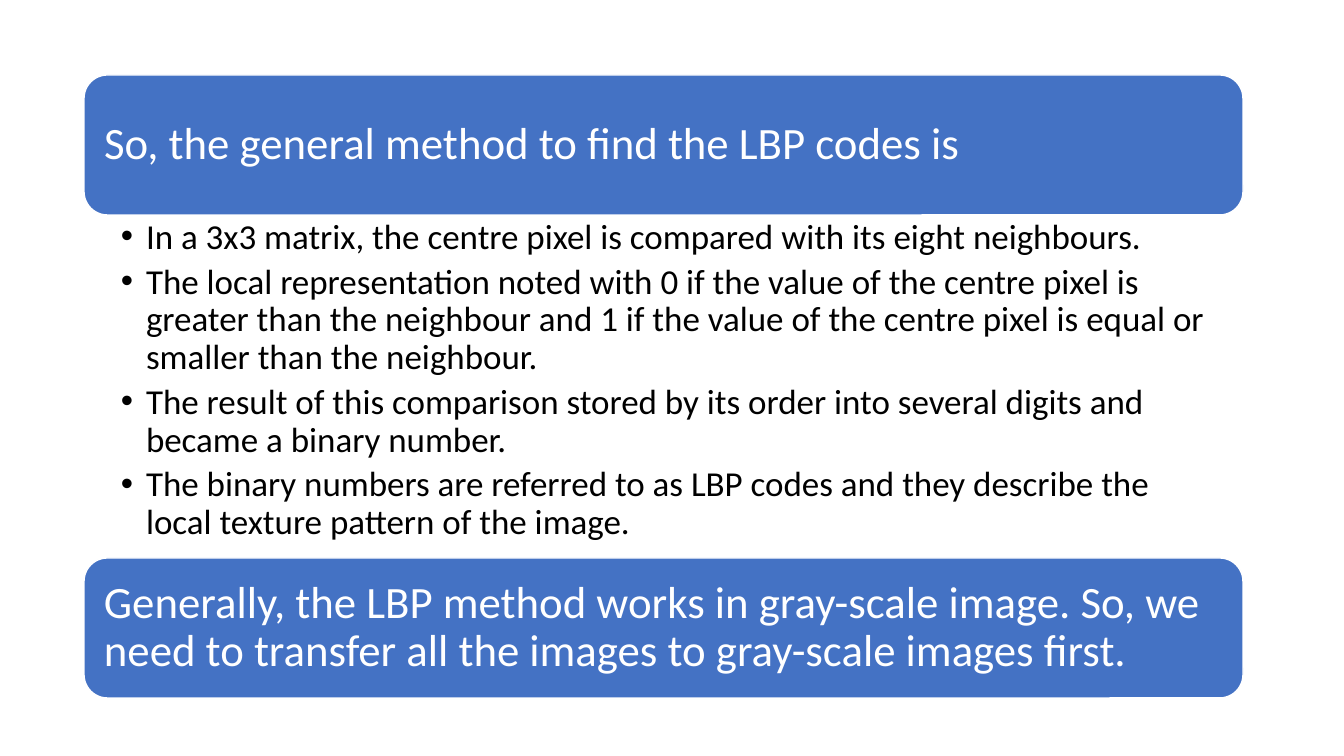
import pptx
import pptx.dml.color
import pptx.enum.shapes
import pptx.enum.text
import pptx.util
from dataclasses import dataclass

HEADING = "So, the general method to find the LBP codes is"
STEPS = [
    "In a 3x3 matrix, the centre pixel is compared with its eight neighbours.",
    "The local representation noted with 0 if the value of the centre pixel is greater than "
    "the neighbour and 1 if the value of the centre pixel is equal or smaller than the neighbour.",
    "The result of this comparison stored by its order into several digits and became a binary number.",
    "The binary numbers are referred to as LBP codes and they describe the local texture pattern of the image.",
]
CLOSING = ("Generally, the LBP method works in gray-scale image. So, we need to transfer "
           "all the images to gray-scale images first.")


@dataclass(frozen=True)
class Theme:
    font: str = "Calibri"
    banner: str = "4472C4"
    light: str = "FFFFFF"
    dark: str = "000000"
    banner_size: int = 32
    step_size: int = 25
    line_spacing: float = 0.9


THEME = Theme()
SLIDE_WIDTH, SLIDE_HEIGHT = 1344, 756
LEFT, TOP, WIDTH = 84, 75, 1159
BANNER_HEIGHT, LIST_HEIGHT = 140, 343
BANNER_PADDING, BANNER_INSET = 7, 13
BULLET_INDENT = 25
LIST_TOP = TOP + BANNER_HEIGHT
CLOSING_TOP = LIST_TOP + LIST_HEIGHT


def px(length):
    return pptx.util.Emu(round(length * 914400 / 100.8))


def color(value):
    return pptx.dml.color.RGBColor.from_string(value)


def place(shape, left, top, width, height):
    shape.left, shape.top = px(left), px(top)
    shape.width, shape.height = px(width), px(height)


def write(shape, texts, *, size, ink, insets, anchor, gap, indent=0):
    """Fill a shape with one paragraph per text; insets are left, top, right, bottom."""
    frame = shape.text_frame
    frame.word_wrap = True
    frame.auto_size = pptx.enum.text.MSO_AUTO_SIZE.NONE
    frame.vertical_anchor = anchor
    frame.margin_left, frame.margin_top, frame.margin_right, frame.margin_bottom = map(px, insets)
    for index, text in enumerate(texts):
        para = frame.add_paragraph() if index else frame.paragraphs[0]
        para.alignment = pptx.enum.text.PP_ALIGN.LEFT
        para.line_spacing = THEME.line_spacing
        para.space_before = pptx.util.Pt(0)
        para.space_after = pptx.util.Pt(round(size * gap))
        properties = para._p.get_or_add_pPr()
        properties.set("marL", str(px(indent)))
        properties.set("indent", str(-px(indent)))
        span = para.add_run()
        span.text = text
        span.font.name = THEME.font
        span.font.size = pptx.util.Pt(size)
        span.font.color.rgb = color(ink)


def add_banner(page, label, text, top):
    """Put a rounded panel directly behind the label and write the text on it."""
    panel = page.shapes.add_shape(pptx.enum.shapes.MSO_SHAPE.ROUNDED_RECTANGLE, 0, 0, 0, 0)
    place(panel, LEFT, top, WIDTH, BANNER_HEIGHT)
    panel.shadow.inherit = False
    panel.fill.solid()
    panel.fill.fore_color.rgb = color(THEME.banner)
    panel.line.color.rgb = color(THEME.light)
    panel.line.width = pptx.util.Pt(1)
    label.element.addprevious(panel.element)
    place(label, LEFT + BANNER_PADDING, top + BANNER_PADDING,
          WIDTH - 2 * BANNER_PADDING, BANNER_HEIGHT - 2 * BANNER_PADDING)
    write(label, [text], size=THEME.banner_size, ink=THEME.light, insets=[BANNER_INSET] * 4,
          anchor=pptx.enum.text.MSO_ANCHOR.MIDDLE, gap=0.35)


def main():
    deck = pptx.Presentation()
    deck.slide_width, deck.slide_height = px(SLIDE_WIDTH), px(SLIDE_HEIGHT)
    page = deck.slides.add_slide(deck.slide_layouts.get_by_name("Title and Content"))

    add_banner(page, page.shapes.title, HEADING, TOP)
    steps = page.placeholders[1]
    place(steps, LEFT, LIST_TOP, WIDTH, LIST_HEIGHT)
    write(steps, STEPS, size=THEME.step_size, ink=THEME.dark, insets=(37, 4, 25, 4),
          anchor=pptx.enum.text.MSO_ANCHOR.TOP, gap=0.2, indent=BULLET_INDENT)
    add_banner(page, page.shapes.add_textbox(0, 0, 0, 0), CLOSING, CLOSING_TOP)

    deck.save("out.pptx")


if __name__ == "__main__":
    main()
